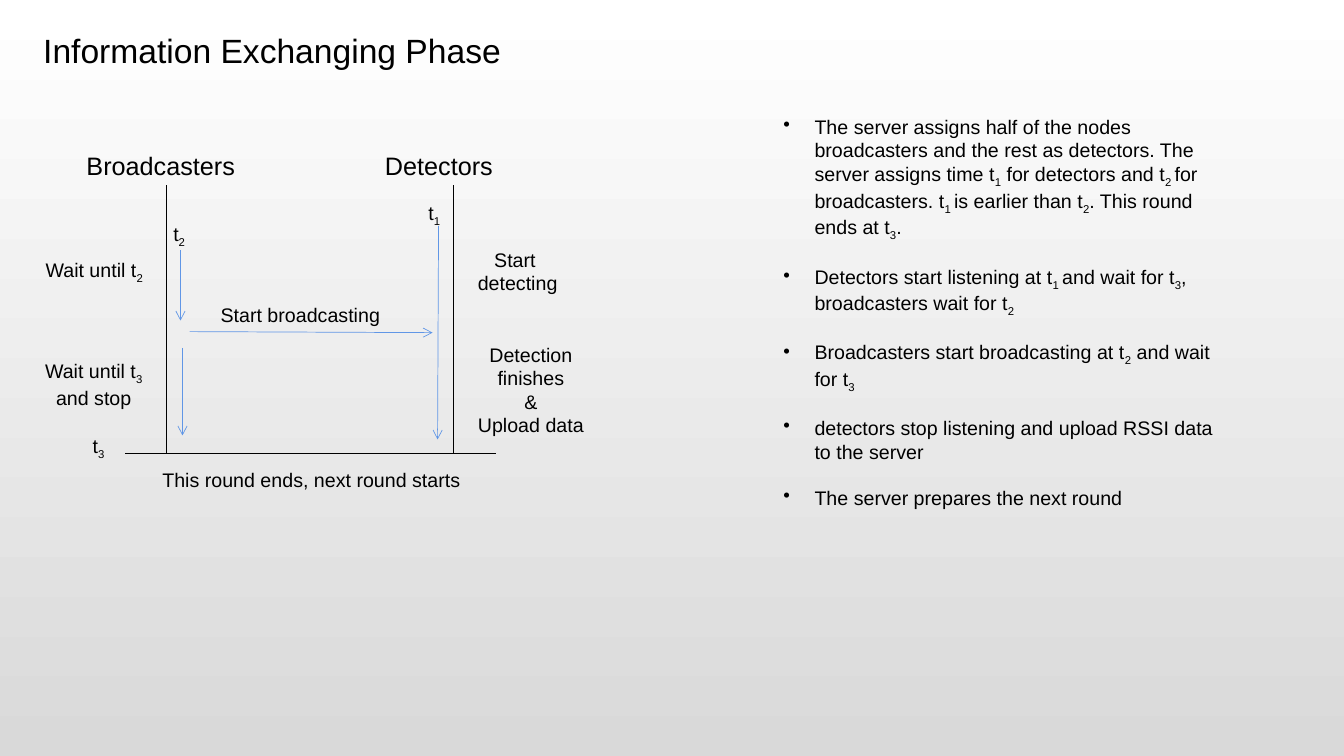
from lxml import etree
from pptx import Presentation
from pptx import util as u
from pptx.dml.color import RGBColor
from pptx.enum import shapes, text
from pptx.oxml import ns

COLORS = {"ink": "000000", "arrow": "6096E6", "top": "FFFFFF", "bottom": "D9D9D9"}
BULLET_INDENT = 0.31


class SlideBuilder:
    """Draw styled elements on the current slide."""

    font_name = "Arial"
    body_size = 14

    def __init__(self, presentation):
        self.slide = presentation.slides.add_slide(presentation.slide_layouts[6])

    def color(self, name):
        return RGBColor.from_string(COLORS[name])

    def background(self):
        fill = self.slide.background.fill
        fill.gradient()
        fill.gradient_angle = 270
        for stop, position, name in zip(fill.gradient_stops, (0, 1), ("top", "bottom")):
            stop.position = position
            stop.color.rgb = self.color(name)

    def fill_paragraph(self, paragraph, content, size):
        paragraph.font.name = self.font_name
        paragraph.font.size = u.Pt(size)
        paragraph.font.color.rgb = self.color("ink")
        plain, *pieces = content.split("{")
        paragraph.add_run().text = plain
        for piece in pieces:
            subscript, _, rest = piece.partition("}")
            run = paragraph.add_run()
            run.text = subscript
            run._r.get_or_add_rPr().set("baseline", "-25000")
            if rest:
                paragraph.add_run().text = rest

    def text(self, box, lines, size=body_size, centered=False):
        shape = self.slide.shapes.add_textbox(*map(u.Inches, box))
        frame = shape.text_frame
        frame.word_wrap = True
        frame.auto_size = text.MSO_AUTO_SIZE.SHAPE_TO_FIT_TEXT
        for index, line in enumerate(lines):
            paragraph = frame.add_paragraph() if index else frame.paragraphs[0]
            paragraph.alignment = text.PP_ALIGN.CENTER if centered else text.PP_ALIGN.LEFT
            self.fill_paragraph(paragraph, line, size)
        return frame

    def bullets(self, box, items):
        frame = self.text(box, items)
        indent = u.Inches(BULLET_INDENT)
        for index, paragraph in enumerate(frame.paragraphs):
            if index:
                paragraph.space_before = u.Pt(16)
            properties = paragraph._p.get_or_add_pPr()
            properties.set("marL", str(indent))
            properties.set("indent", str(-indent))
            bullet = etree.Element(ns.qn("a:buChar"), char="•")
            properties.find(ns.qn("a:defRPr")).addprevious(bullet)

    def line(self, start, end, color="ink", arrow=False):
        connector = self.slide.shapes.add_connector(
            shapes.MSO_CONNECTOR.STRAIGHT, *map(u.Inches, start + end))
        connector.line.width = u.Pt(0.5)
        connector.line.color.rgb = self.color(color)
        if arrow:
            outline = connector.line._get_or_add_ln()
            etree.SubElement(outline, ns.qn("a:tailEnd"), type="arrow")
        etree.SubElement(connector._element.spPr, ns.qn("a:effectLst"))

    def arrow(self, start, end):
        self.line(start, end, "arrow", arrow=True)


def main():
    presentation = Presentation()
    presentation.slide_width = u.Inches(13.33)
    presentation.slide_height = u.Inches(7.5)
    builder = SlideBuilder(presentation)
    builder.background()
    builder.text((0.33, 0.25, 5.19, 0.5), ["Information Exchanging Phase"], 24)

    for name, label_left, lifeline in (("Broadcasters", 0.76, 1.65), ("Detectors", 3.72, 4.5)):
        builder.text((label_left, 1.44, 1.77, 0.4), [name], 18)
        builder.line((lifeline, 1.84), (lifeline, 4.49))
    builder.line((1.24, 4.5), (4.92, 4.5))

    for start, end in (
        ((1.79, 2.48), (1.79, 3.18)),
        ((1.88, 3.29), (4.29, 3.3)),
        ((1.81, 3.45), (1.81, 4.32)),
        ((4.35, 2.24), (4.34, 4.36)),
    ):
        builder.arrow(start, end)

    for box, lines in (
        ((4.57, 2.41, 1.13, 0.57), ["Start ", "detecting"]),
        ((0.25, 2.51, 1.37, 0.34), ["Wait until t{2}"]),
        ((0.33, 3.51, 1.2, 0.57), ["Wait until t{3} and stop"]),
        ((4.62, 3.35, 1.29, 1.04), ["Detection finishes", "&", "Upload data"]),
        ((1.01, 4.59, 4.16, 0.34), ["This round ends, next round starts"]),
    ):
        builder.text(box, lines, centered=True)

    builder.text((2.09, 2.96, 1.96, 0.34), ["Start broadcasting"])
    for number, left, top in ((1, 4.15, 1.94), (2, 1.62, 2.15), (3, 0.82, 4.26)):
        builder.text((left, top, 0.39, 0.34), [f"t{{{number}}}"])

    builder.bullets((7.67, 1.09, 4.51, 4.1), [
        "The server assigns half of the nodes broadcasters and the rest as detectors. "
        "The server assigns time t{1} for detectors and t{2 }for broadcasters. "
        "t{1 }is earlier than t{2}. This round ends at t{3}.",
        "Detectors start listening at t{1 }and wait for t{3}, broadcasters wait for t{2}",
        "Broadcasters start broadcasting at t{2} and wait for t{3}",
        "detectors stop listening and upload RSSI data to the server",
        "The server prepares the next round",
    ])
    presentation.save("out.pptx")


if __name__ == "__main__":
    main()
